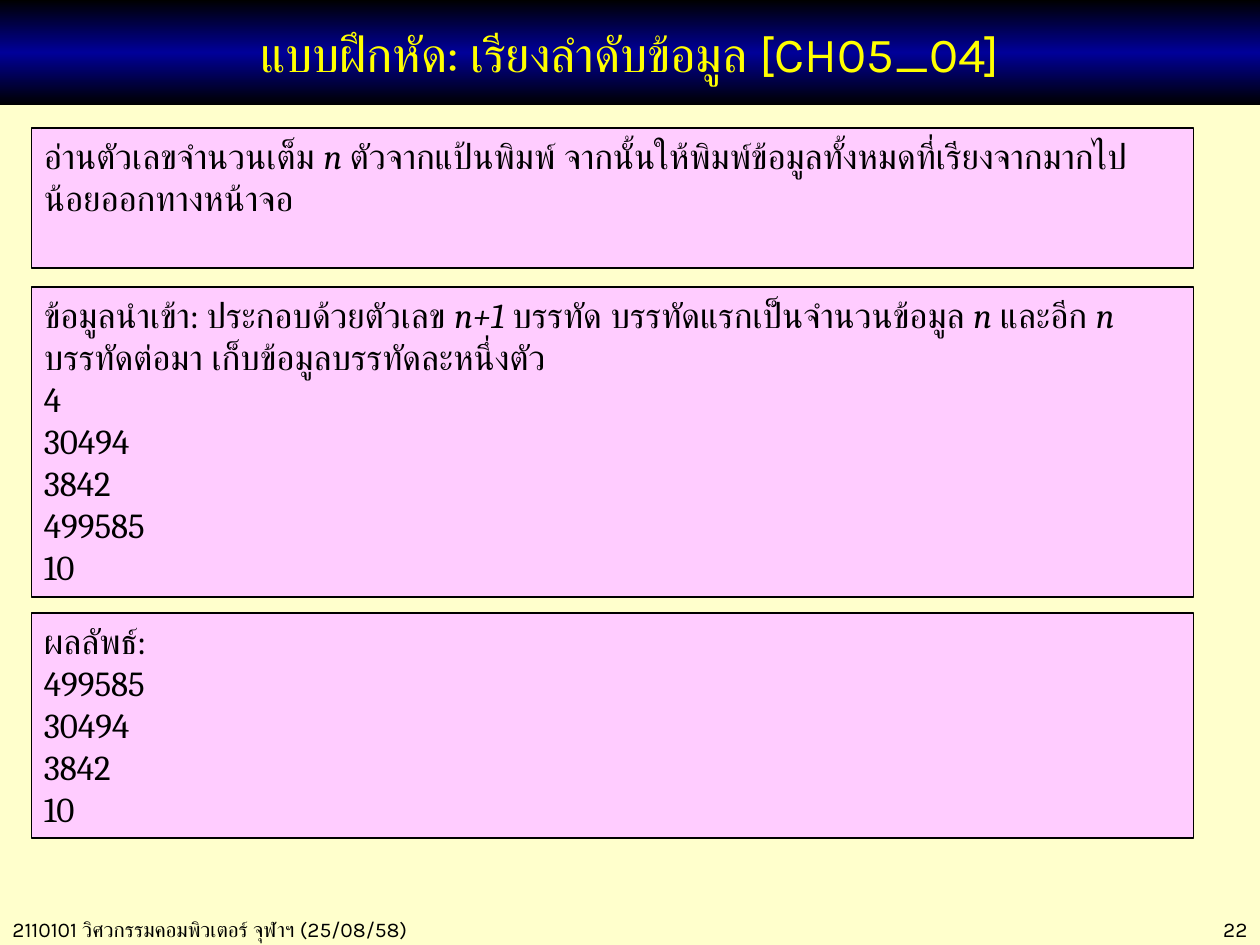
import copy

import pptx
import pptx.dml.color
import pptx.enum.shapes
import pptx.enum.text
import pptx.oxml.ns
import pptx.util

RGBColor = pptx.dml.color.RGBColor
Align = pptx.enum.text.PP_ALIGN
Anchor = pptx.enum.text.MSO_ANCHOR

BLACK = RGBColor(0x00, 0x00, 0x00)
NAVY = RGBColor(0x00, 0x00, 0x99)
YELLOW = RGBColor(0xFF, 0xFF, 0x00)
PINK = RGBColor(0xFF, 0xCC, 0xFF)
CREAM = RGBColor(0xFF, 0xFF, 0xCC)

PX_PER_INCH = 126
TITLE_ONLY = 5


def px(length):
    return pptx.util.Emu(round(length * 914400 / PX_PER_INCH))


class ExercisePage:
    heading_font = "Karla"
    body_font = "Cambria"

    def __init__(self, deck):
        self.page = deck.slides.add_slide(deck.slide_layouts[TITLE_ONLY])
        background = self.page.background.fill
        background.solid()
        background.fore_color.rgb = CREAM

    def format_span(self, span, font, size, color):
        span.font.name = font
        span.font.size = pptx.util.Pt(size)
        span.font.color.rgb = color

    def set_line(self, box, text, size, color, align):
        box.text_frame.word_wrap = True
        box.text_frame.text = text
        para = box.text_frame.paragraphs[0]
        para.alignment = align
        self.format_span(para.runs[0], self.heading_font, size, color)

    def title(self, text, height):
        bar = self.page.shapes.title
        bar.left, bar.top, bar.width, bar.height = 0, 0, px(1260), px(height)
        self.set_line(bar, text, 28, YELLOW, Align.CENTER)
        bar.text_frame.vertical_anchor = Anchor.MIDDLE
        bar.text_frame.auto_size = pptx.enum.text.MSO_AUTO_SIZE.NONE

        # Vertical gradient: the new fill has two stops, a third is added
        bar.fill.gradient()
        bar.fill.gradient_angle = 270
        stop_list = bar.element.spPr.find(".//" + pptx.oxml.ns.qn("a:gsLst"))
        stop_list.append(copy.deepcopy(stop_list[-1]))
        stops = zip(bar.fill.gradient_stops, (0, 0.5, 1), (BLACK, NAVY, BLACK))
        for stop, position, color in stops:
            stop.position = position
            stop.color.rgb = color

    def panel(self, top, height, paragraphs):
        """Each paragraph is a list of spans; every second span is italic."""
        box = self.page.shapes.add_shape(
            pptx.enum.shapes.MSO_SHAPE.RECTANGLE,
            px(31.5), px(top), px(1162), px(height))
        box.shadow.inherit = False
        box.fill.solid()
        box.fill.fore_color.rgb = PINK
        box.line.color.rgb = BLACK
        box.line.width = pptx.util.Pt(0.75)
        frame = box.text_frame
        frame.word_wrap = True
        frame.vertical_anchor = Anchor.TOP
        for number, spans in enumerate(paragraphs):
            para = frame.add_paragraph() if number else frame.paragraphs[0]
            para.alignment = Align.LEFT
            for position, text in enumerate(spans):
                span = para.add_run()
                span.text = text
                span.font.italic = position % 2 == 1
                self.format_span(span, self.body_font, 20, BLACK)

    def footer(self, left, width, text, align):
        box = self.page.shapes.add_textbox(px(left), px(910), px(width), px(38))
        self.set_line(box, text, 12, BLACK, align)


def main():
    deck = pptx.Presentation()
    deck.slide_width, deck.slide_height = px(1260), px(945)
    exercise = ExercisePage(deck)

    # Title bar
    exercise.title("แบบฝึกหัด: เรียงลำดับข้อมูล [CH05_04]", 105)

    # Task, sample input and expected output
    exercise.panel(128, 140, [
        ["อ่านตัวเลขจำนวนเต็ม ", "n",
         " ตัวจากแป้นพิมพ์ จากนั้นให้พิมพ์ข้อมูลทั้งหมดที่เรียงจากมากไปน้อยออกทางหน้าจอ"],
    ])
    exercise.panel(287, 310, [
        ["ข้อมูลนำเข้า: ประกอบด้วยตัวเลข ", "n+1",
         " บรรทัด บรรทัดแรกเป็นจำนวนข้อมูล ", "n ", "และอีก ", "n ",
         "บรรทัดต่อมา เก็บข้อมูลบรรทัดละหนึ่งตัว"],
        ["4"], ["30494"], ["3842"], ["499585"], ["10"],
    ])
    exercise.panel(613, 225, [
        ["ผลลัพธ์:"], ["499585"], ["30494"], ["3842"], ["10"],
    ])

    # Footer
    exercise.footer(0, 491, "2110101 วิศวกรรมคอมพิวเตอร์ จุฬาฯ (25/08/58)", Align.LEFT)
    exercise.footer(1086, 174, "22", Align.RIGHT)

    deck.save("out.pptx")


if __name__ == "__main__":
    main()
